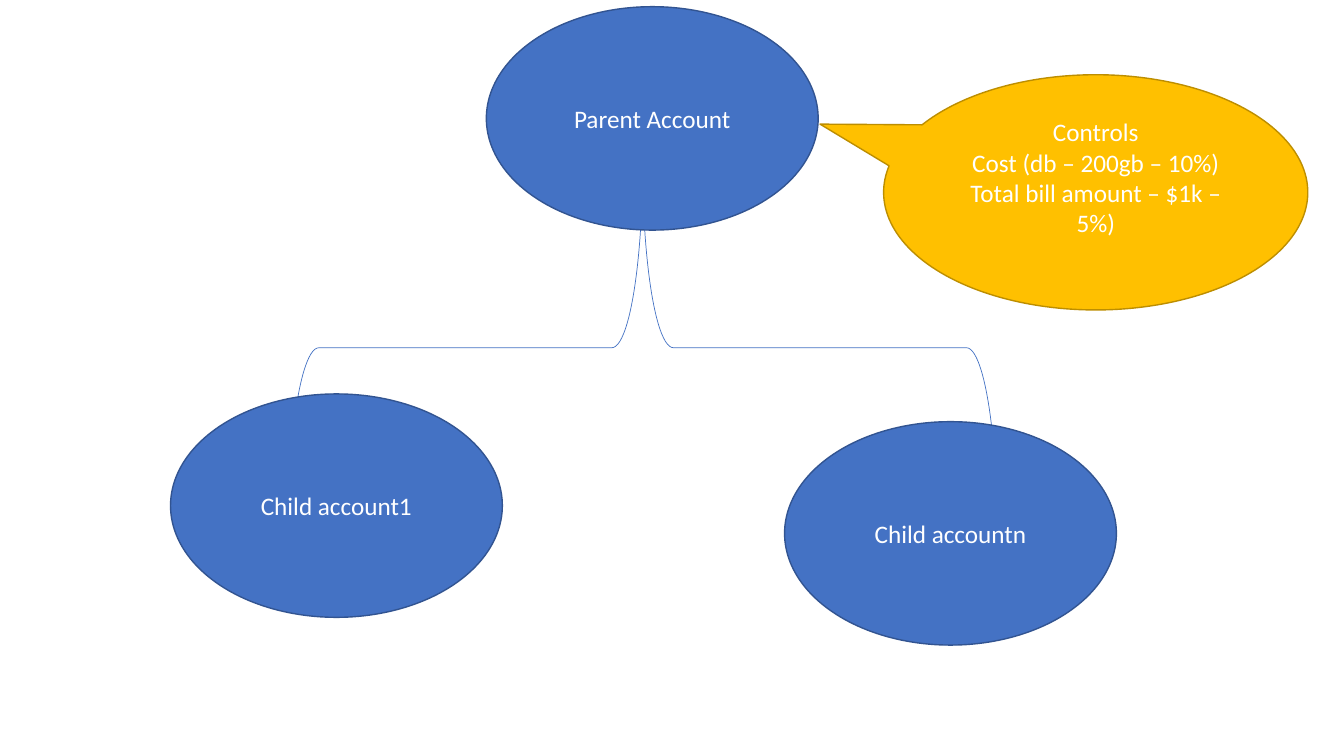
from dataclasses import dataclass

from pptx import Presentation
from pptx import util as u
from pptx.dml.color import RGBColor
from pptx.enum import shapes, text


@dataclass(frozen=True)
class Theme:
    """Colours, type and line sizes of the slide."""
    account: str = "4472C4"
    account_edge: str = "325491"
    control: str = "FFC000"
    control_edge: str = "BD8E00"
    ink: str = "FFFFFF"
    font: str = "Calibri"
    size: float = 18
    edge: float = 1
    hairline: float = 0.5


T = Theme()
COLS, ROWS = 160, 90
WIDTH, HEIGHT = u.Inches(13.33), u.Inches(7.5)
MSO = shapes.MSO_SHAPE


def apply(obj, **values):
    """Set each named attribute on obj."""
    for name, value in values.items():
        setattr(obj, name, value)


def add_shape(s, kind, box, edge, weight, fill=None):
    """Add a preset shape whose box is given in columns and rows."""
    x, y, w, h = box
    col, row = WIDTH / COLS, HEIGHT / ROWS
    sp = s.shapes.add_shape(kind, round(x * col), round(y * row),
                            round(w * col), round(h * row))
    sp.shadow.inherit = False
    if fill:
        sp.fill.solid()
        sp.fill.fore_color.rgb = RGBColor.from_string(fill)
    else:
        sp.fill.background()
    sp.line.color.rgb = RGBColor.from_string(edge)
    sp.line.width = u.Pt(weight)
    return sp


def write(sp, lines, **frame):
    """Write centred paragraphs into a shape."""
    tf = sp.text_frame
    apply(tf, word_wrap=True, vertical_anchor=text.MSO_ANCHOR.MIDDLE, **frame)
    for i, line in enumerate(lines):
        p = tf.add_paragraph() if i else tf.paragraphs[0]
        p.alignment = text.PP_ALIGN.CENTER
        r = p.add_run()
        r.text = line
        apply(r.font, name=T.font, size=u.Pt(T.size))
        r.font.color.rgb = RGBColor.from_string(T.ink)


def add_brace(s, box):
    """Add a brace that fills the box and points up."""
    x, y, w, h = box
    upright = (x + (w - h) / 2, y + (h - w) / 2, h, w)
    sp = add_shape(s, MSO.LEFT_BRACE, upright, T.account, T.hairline)
    sp.rotation = 90


def add_accounts(s, box):
    """Place the parent account, its children and the brace joining them."""
    x, y, w, h = box
    node_w, node_h = 39.5, 26.6
    add_brace(s, (x + 14, y + 18.6, 84.4, 44))
    nodes = {
        "Parent Account": (37.6, 0),
        "Child account1": (0, 46.1),
        "Child accountn": (w - node_w, h - node_h),
    }
    for name, (dx, dy) in nodes.items():
        sp = add_shape(s, MSO.OVAL, (x + dx, y + dy, node_w, node_h),
                       T.account_edge, T.edge, T.account)
        write(sp, [name])


def add_controls(s, box):
    """Place the controls callout, pointing at the parent account."""
    sp = add_shape(s, MSO.OVAL_CALLOUT, box, T.control_edge, T.edge, T.control)
    sp.adjustments[0], sp.adjustments[1] = -0.65, -0.29
    write(sp, ["Controls", "Cost (db – 200gb – 10%)",
               "Total bill amount – $1k – 5%)"],
          margin_bottom=u.Inches(0.35))


def main():
    """Build and save the slide."""
    prs = Presentation()
    apply(prs, slide_width=WIDTH, slide_height=HEIGHT)
    s = prs.slides.add_slide(prs.slide_layouts[6])
    add_accounts(s, (20.3, 0.8, 112.6, 76))
    add_controls(s, (105.2, 8.9, 50.5, 28))
    prs.save("out.pptx")


main()
